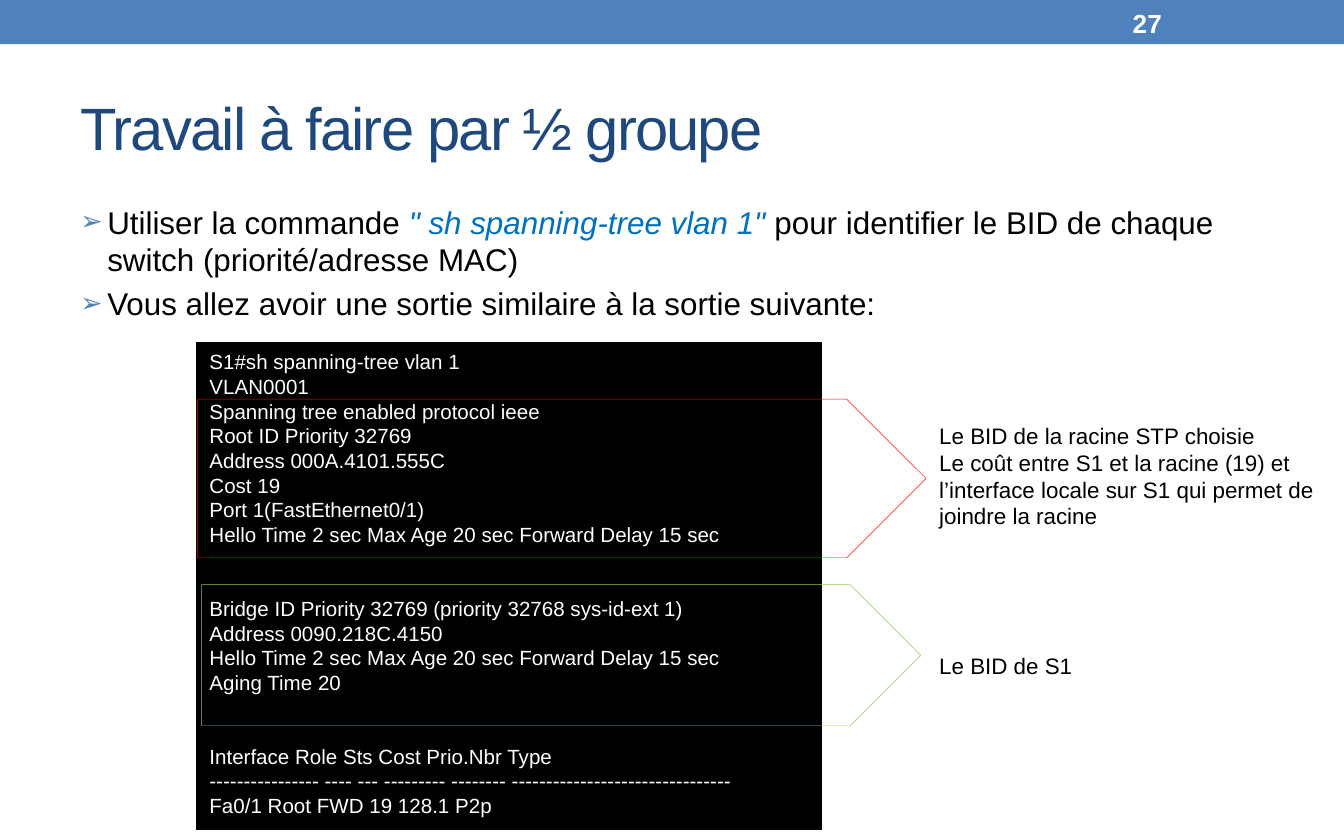
from pptx import Presentation
from pptx.util import Inches, Pt
from pptx.dml.color import RGBColor
from pptx.enum.shapes import MSO_SHAPE as Kind
from pptx.enum.text import MSO_ANCHOR as Anchor, PP_ALIGN as Align
from lxml.etree import SubElement

BLUE, NAVY, SKY = "4F81BD", "1F497D", "0070C0"
BLACK, WHITE, RED, GREEN = "000000", "FFFFFF", "FF0000", "92D050"

TITLE = "Travail à faire par ½ groupe"
BULLETS = [
    [("Utiliser la commande ", BLACK, False),
     ("\"\u00a0sh spanning-tree vlan 1\" ", SKY, True),
     ("pour identifier le BID de chaque switch (priorité/adresse MAC)", BLACK, False)],
    [("Vous allez avoir une sortie similaire à la sortie suivante:", BLACK, False)],
]
OUTPUT = [
    ["S1#sh spanning-tree vlan 1",
     "VLAN0001",
     "Spanning tree enabled protocol ieee",
     "Root ID Priority 32769",
     "Address 000A.4101.555C",
     "Cost 19",
     "Port 1(FastEthernet0/1)",
     "Hello Time 2 sec Max Age 20 sec Forward Delay 15 sec"],
    ["Bridge ID Priority 32769 (priority 32768 sys-id-ext 1)",
     "Address 0090.218C.4150",
     "Hello Time 2 sec Max Age 20 sec Forward Delay 15 sec",
     "Aging Time 20"],
    ["Interface Role Sts Cost Prio.Nbr Type",
     "---------------- ---- --- --------- -------- --------------------------------",
     "Fa0/1 Root FWD 19 128.1 P2p"],
]
GAP = Pt(26.4)
ARROWS = [((1.5, 4.35, 5.35, 1.05), GREEN), ((1.47, 2.97, 5.42, 1.18), RED)]
LABELS = [
    ((6.89, 4.8, 1.2, 0.3), ["Le BID de S1"], False),
    ((6.89, 3.09, 3.07, 1.11),
     ["Le BID de la racine STP choisie",
      "Le coût entre S1 et la racine (19) et l’interface locale "
      "sur S1 qui permet de joindre la racine"], True),
]

deck = Presentation()
deck.slide_width, deck.slide_height = Inches(10), Inches(6.25)
slide = deck.slides.add_slide(deck.slide_layouts[6])


def paint(fmt, color):
    fmt.rgb = RGBColor.from_string(color)


def style(run, size, color, bold=False, italic=False):
    font = run.font
    font.name, font.size, font.bold, font.italic = "Arial", Pt(size), bold, italic
    paint(font.color, color)


def add_form(kind, box, fill=None, line=None):
    form = slide.shapes.add_shape(kind, *map(Inches, box))
    form.shadow.inherit = False
    if fill:
        form.fill.solid()
        paint(form.fill.fore_color, fill)
    else:
        form.fill.background()
    if line:
        paint(form.line.color, line)
        form.line.width = Pt(0.25)
    else:
        form.line.fill.background()
    return form


def add_box(box, anchor=Anchor.TOP, wrap=True):
    frame = slide.shapes.add_textbox(*map(Inches, box)).text_frame
    frame.word_wrap, frame.vertical_anchor = wrap, anchor
    return frame


def write(frame, lines, size, color, bold=False):
    frame.text = "\n".join(lines)
    for para in frame.paragraphs:
        para.alignment = Align.LEFT
        for run in para.runs:
            style(run, size, color, bold)


def add_bullet(para):
    props = para._p.get_or_add_pPr()
    props.set("marL", str(Inches(0.2)))
    props.set("indent", str(-Inches(0.2)))
    space = "{http://schemas.openxmlformats.org/drawingml/2006/main}"
    tint = SubElement(props, space + "buClr")
    SubElement(tint, space + "srgbClr", val=BLUE)
    SubElement(props, space + "buSzPct", val="85000")
    SubElement(props, space + "buFont", typeface="Arial")
    SubElement(props, space + "buChar", char="➢")


add_form(Kind.RECTANGLE, (0, 0, 10, 0.33), BLUE)

title = add_box((0.5, 0.49, 9, 0.9), Anchor.MIDDLE)
write(title, [TITLE], 32, NAVY)
title.paragraphs[0].runs[0].font._element.set("spc", "-100")

body = add_box((0.5, 1.46, 9, 0.88))
for n, parts in enumerate(BULLETS):
    para = body.add_paragraph() if n else body.paragraphs[0]
    para.space_before = Pt(3.4)
    add_bullet(para)
    for text, color, slant in parts:
        run = para.add_run()
        run.text = text
        style(run, 16.8, color, italic=slant)

write(add_box((8.33, 0.02, 1.17, 0.3), Anchor.MIDDLE), ["27"], 14, WHITE, True)

screen = add_form(Kind.RECTANGLE, (1.46, 2.55, 4.65, 3.62), BLACK, BLACK).text_frame
screen.word_wrap, screen.vertical_anchor = True, Anchor.TOP
write(screen, sum(OUTPUT, []), 11, WHITE)
start = 0
for block in OUTPUT[:-1]:
    start += len(block)
    screen.paragraphs[start].space_before = GAP

for box, color in ARROWS:
    add_form(Kind.PENTAGON, box, line=color)
for box, lines, wrap in LABELS:
    write(add_box(box, wrap=wrap), lines, 12, BLACK)

deck.save("out.pptx")
